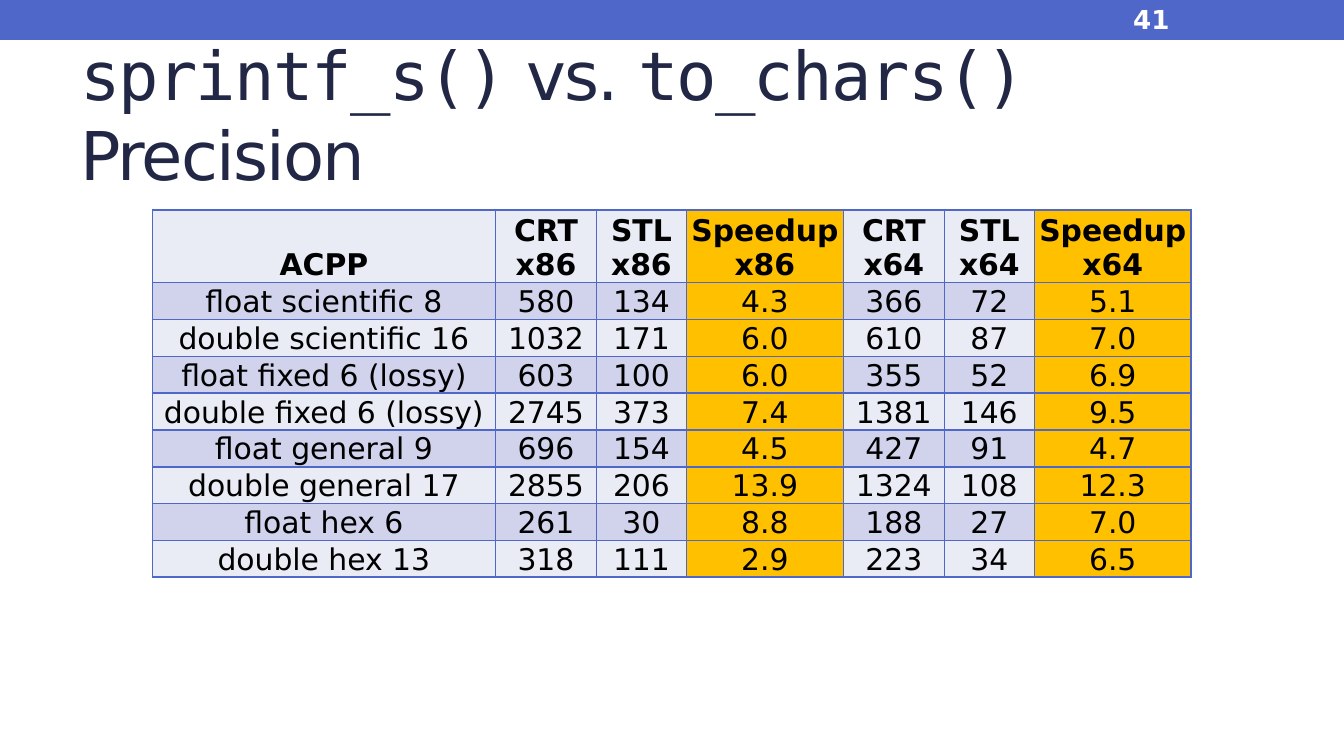
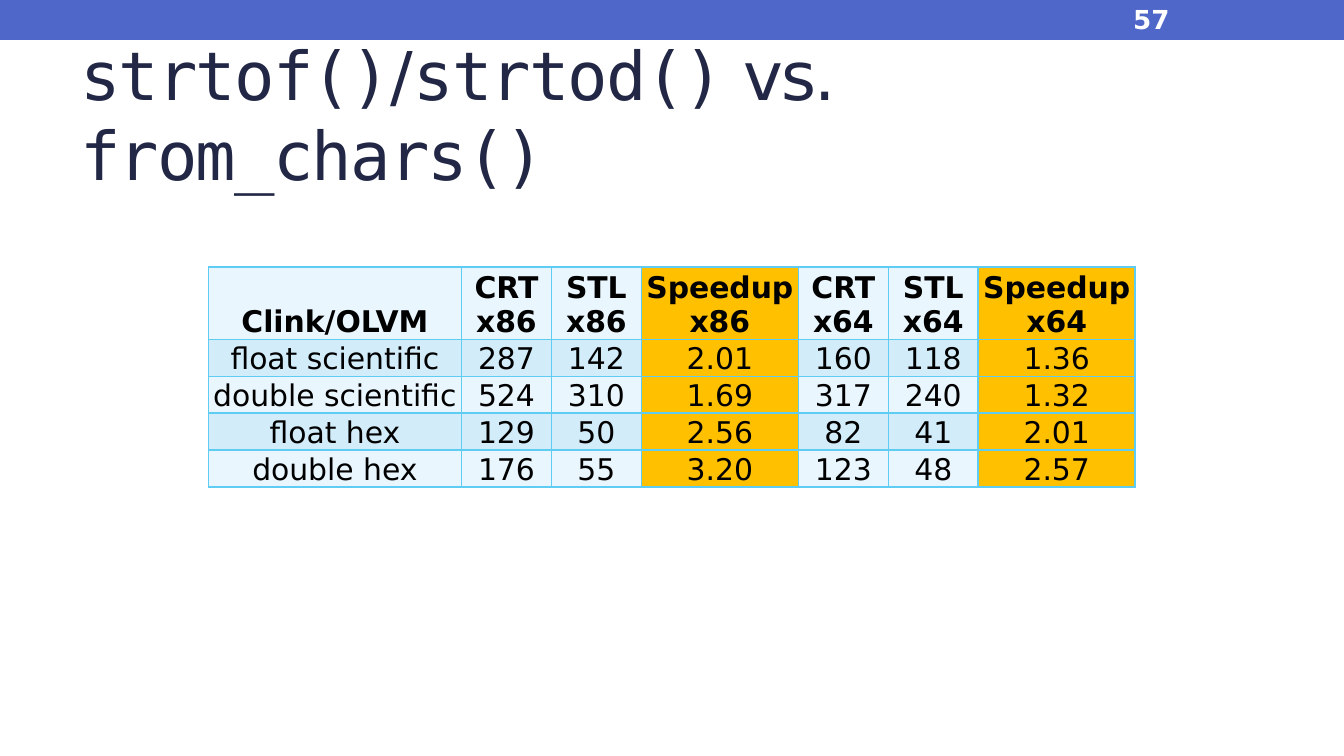
"""Build two slides that compare number conversion speeds in tables."""
import pptx
import pptx.util
import pptx.dml.color
import pptx.enum.shapes
import pptx.enum.text
import lxml.etree

HUES = {"band": "4E67C8", "title": "212745", "page": "FFFFFF", "text": "000000", "gain": "FFC000"}
SANS, MONO = "DejaVu Sans", "DejaVu Sans Mono"
WIDE, HIGH = 1344, 756
ROW = 28
GAINS = (3, 6)
HEADS = ["CRT x86", "STL x86", "Speedup x86", "CRT x64", "STL x64", "Speedup x64"]

SLIDES = [
    {
        "title": ["sprintf_s()", " vs. ", "to_chars()", " Precision"],
        "page": "41",
        "top": 210,
        "high": 371,
        "cols": [343] + [101, 90, 157] * 2,
        "line": "4E67C8",
        "fills": ("E9EBF5", "D0D3EB"),
        "rows": [
            ["ACPP"] + HEADS,
            ["float scientific 8", "580", "134", "4.3", "366", "72", "5.1"],
            ["double scientific 16", "1032", "171", "6.0", "610", "87", "7.0"],
            ["float fixed 6 (lossy)", "603", "100", "6.0", "355", "52", "6.9"],
            ["double fixed 6 (lossy)", "2745", "373", "7.4", "1381", "146", "9.5"],
            ["float general 9", "696", "154", "4.5", "427", "91", "4.7"],
            ["double general 17", "2855", "206", "13.9", "1324", "108", "12.3"],
            ["float hex 6", "261", "30", "8.8", "188", "27", "7.0"],
            ["double hex 13", "318", "111", "2.9", "223", "34", "6.5"],
        ],
    },
    {
        "title": ["strtof()", "/", "strtod()", " vs. ", "from_chars()"],
        "page": "57",
        "top": 267,
        "high": 222,
        "cols": [253] + [90, 90, 157] * 2,
        "line": "5ECCF3",
        "fills": ("EAF6FD", "D2ECFA"),
        "rows": [
            ["Clink/OLVM"] + HEADS,
            ["float scientific", "287", "142", "2.01", "160", "118", "1.36"],
            ["double scientific", "524", "310", "1.69", "317", "240", "1.32"],
            ["float hex", "129", "50", "2.56", "82", "41", "2.01"],
            ["double hex", "176", "55", "3.20", "123", "48", "2.57"],
        ],
    },
]


def px(num):
    return pptx.util.Emu(round(num * 914400 / 134.4))


def rgb(hue):
    return pptx.dml.color.RGBColor.from_string(hue)


def style(run, size, hue, bold=False, face=SANS):
    font = run.font
    font.size = pptx.util.Pt(size)
    font.name = face
    font.bold = bold
    font.color.rgb = rgb(hue)


def add_band(slide):
    band = slide.shapes.add_shape(
        pptx.enum.shapes.MSO_SHAPE.RECTANGLE, 0, 0, px(WIDE), px(40))
    band.shadow.inherit = False
    band.fill.solid()
    band.fill.fore_color.rgb = rgb(HUES["band"])
    band.line.fill.background()


def add_box(slide, left, top, wide, high):
    frame = slide.shapes.add_textbox(px(left), px(top), px(wide), px(high)).text_frame
    frame.word_wrap = True
    frame.vertical_anchor = pptx.enum.text.MSO_ANCHOR.MIDDLE
    return frame


def add_title(slide, parts):
    para = add_box(slide, 67, 59, 1210, 109).paragraphs[0]
    for part in parts:
        run = para.add_run()
        run.text = part
        style(run, 36, HUES["title"], face=MONO if "()" in part else SANS)
        run.font._element.set("spc", "-100")


def add_page(slide, num):
    frame = add_box(slide, 1120, 1, 157, 36)
    frame.text = num
    style(frame.paragraphs[0].runs[0], 14, HUES["page"], True)


def edge(cell, hue):
    props = cell._tc.get_or_add_tcPr()
    space = "{" + props.nsmap["a"] + "}"
    for spot, side in enumerate(("lnL", "lnR", "lnT", "lnB")):
        line = lxml.etree.Element(space + side, w="12700")
        fill = lxml.etree.SubElement(line, space + "solidFill")
        lxml.etree.SubElement(fill, space + "srgbClr", val=hue)
        props.insert(spot, line)


def fill_cell(cell, text, back, line, bold):
    cell.text = text
    cell.margin_left = cell.margin_right = cell.margin_top = px(1)
    cell.margin_bottom = 0
    cell.vertical_anchor = pptx.enum.text.MSO_ANCHOR.BOTTOM
    cell.fill.solid()
    cell.fill.fore_color.rgb = rgb(back)
    edge(cell, line)
    para = cell.text_frame.paragraphs[0]
    para.alignment = pptx.enum.text.PP_ALIGN.CENTER
    style(para.runs[0], 16, HUES["text"], bold)


def add_grid(slide, data):
    rows, cols = data["rows"], data["cols"]
    wide = sum(cols)
    shape = slide.shapes.add_table(
        len(rows), len(cols), px((WIDE - wide) / 2), px(data["top"]), px(wide), px(data["high"]))
    table = shape.table
    table.first_row = table.horz_banding = False
    for col, size in zip(table.columns, cols):
        col.width = px(size)
    for r, row in enumerate(rows):
        table.rows[r].height = px(ROW)
        for c, text in enumerate(row):
            back = HUES["gain"] if c in GAINS else data["fills"][r % 2]
            fill_cell(table.cell(r, c), text, back, data["line"], r == 0)
    shape.height = px(data["high"])


def main():
    deck = pptx.Presentation()
    deck.slide_width, deck.slide_height = px(WIDE), px(HIGH)
    for data in SLIDES:
        slide = deck.slides.add_slide(deck.slide_layouts[6])
        add_band(slide)
        add_title(slide, data["title"])
        add_grid(slide, data)
        add_page(slide, data["page"])
    deck.save("out.pptx")


if __name__ == "__main__":
    main()
